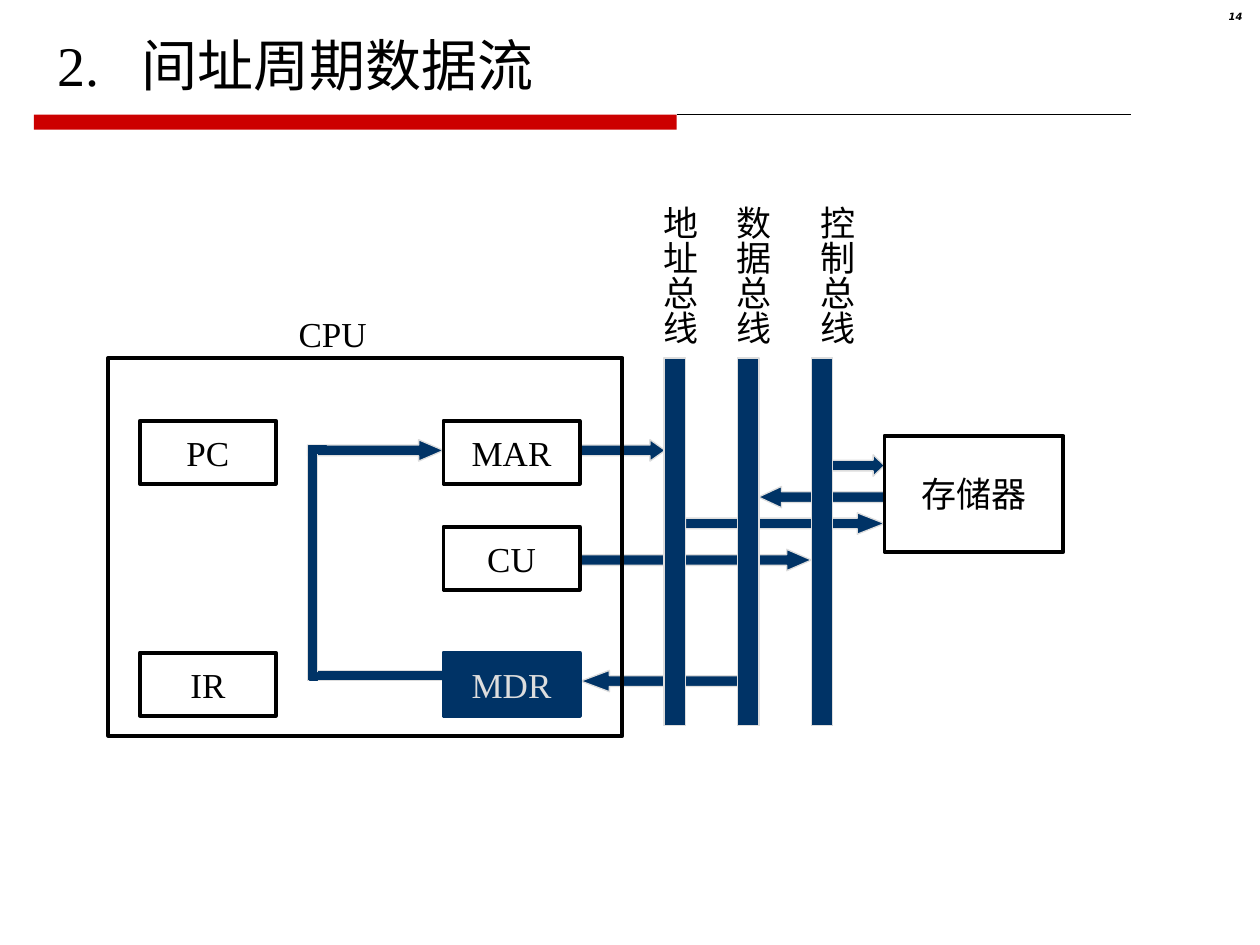
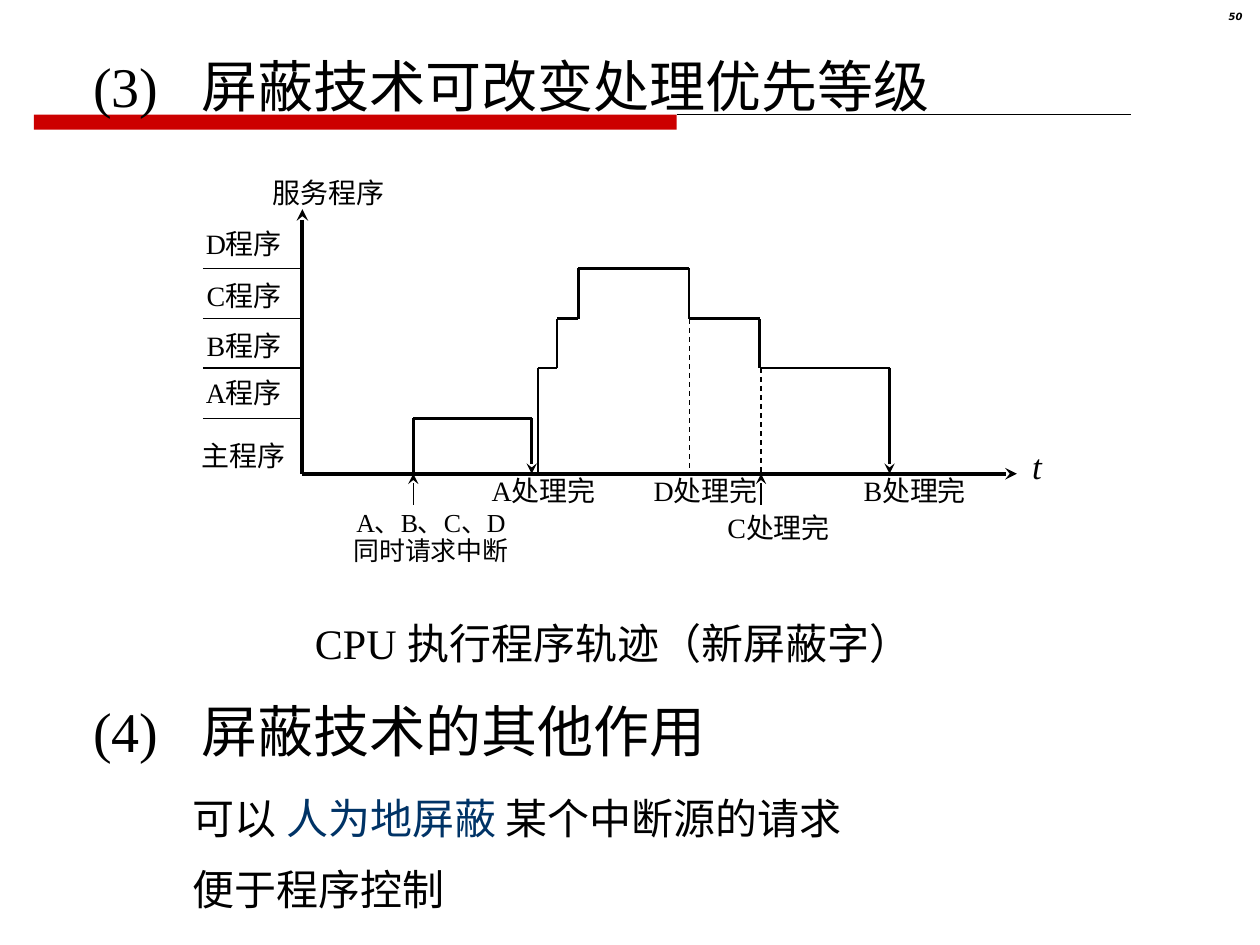
from itertools import pairwise

from lxml import etree
from pptx import Presentation
from pptx.dml.color import RGBColor
from pptx.enum.dml import MSO_LINE
from pptx.enum.shapes import MSO_CONNECTOR, MSO_SHAPE
from pptx.enum.text import MSO_ANCHOR, PP_ALIGN
from pptx.oxml.ns import qn
from pptx.util import Inches, Pt

LEFT, CENTER, RIGHT = PP_ALIGN.LEFT, PP_ALIGN.CENTER, PP_ALIGN.RIGHT
TOP, MIDDLE = MSO_ANCHOR.TOP, MSO_ANCHOR.MIDDLE
RECTANGLE, ARROW = MSO_SHAPE.RECTANGLE, MSO_SHAPE.RIGHT_ARROW
STRAIGHT, DASH = MSO_CONNECTOR.STRAIGHT, MSO_LINE.DASH

COLORS = {"ink": "000000", "band": "CC0000", "bus": "003366", "pale": "DDDDDD"}
BODY_FONT, NUMBER_FONT = "Times New Roman", "DejaVu Sans"
WIDTH, HEIGHT = 10, 7.5
BAND_LEFT, BAND_TOP, BAND_WIDTH, BAND_HEIGHT, RULE_END = 0.27, 0.91, 5.1, 0.12, 8.98

UNIT_WIDTH, UNIT_HEIGHT = 1.08, 0.5
UNIT_COLUMNS = (1.11, 3.52)
UNIT_ROWS = (3.34, 4.18, 5.18)
UNITS = [("PC", 0, 0), ("IR", 0, 2), ("MAR", 1, 0), ("CU", 1, 1)]
ACTIVE_UNIT = ("MDR", 1, 2)
CPU_BOX = (0.86, 2.84, 4.08, 3)
MEMORY_BOX = (7.02, 3.46, 1.42, 0.92)
BUS_LEFT, BUS_STEP, BUS_TOP, BUS_WIDTH, BUS_HEIGHT = 5.27, 0.585, 2.84, 0.17, 2.92
BUSES = [("地址总线", 5.08), ("数据总线", 5.66), ("控制总线", 6.33)]
ARROW_HEIGHT = 0.17
FLOWS = [
    (6.02, 3.86, 1, 180, 1.07),
    (4.61, 4.36, 1.83, 0, 1.15),
    (4.61, 3.49, 0.67, 0, 0.71),
    (5.44, 4.07, 1.58, 0, 1.27),
    (4.61, 5.32, 1.25, 180, 1.33),
    (2.44, 3.49, 1.08, 0, 1.16),
    (6.52, 3.61, 0.5, 0, 0.53),
]
LOOP_BARS = [(2.44, 5.32, 1.08, 0.08), (2.44, 3.57, 0.08, 1.83)]
LOOP_CORNERS = [(2.46, 5.34, 0.06, 0.06), (2.45, 3.54, 0.14, 0.06)]

AXIS_X, AXIS_Y, AXIS_TOP, AXIS_END = 2.4, 3.76, 1.66, 8.07
LEVELS = {"main": AXIS_Y, "A": 3.32, "B": 2.92, "C": 2.53, "D": 2.13}
TRACES = [
    [(3.28, "main"), (3.28, "A"), (4.22, "A"), (4.22, "main")],
    [(4.27, "main"), (4.27, "B"), (4.42, "B"), (4.42, "C"), (4.59, "C"), (4.59, "D"),
     (5.47, "D"), (5.47, "C"), (6.03, "C"), (6.03, "B"), (7.06, "B"), (7.06, "main")],
]
DROPS = [(5.47, "C"), (6.04, "B")]
POINTERS = (3.28, 6.04)
ROW_LABELS = [("主程序", 3.48), ("A程序", 2.98), ("B程序", 2.61), ("C程序", 2.21), ("D程序", 1.8)]
CHART_LABELS = [
    ("服务程序", (2.02, 1.39, 1.17, 0.39)),
    ("A处理完", (3.79, 3.76, 1.05, 0.38)),
    ("D处理完", (5.1, 3.76, 1, 0.38)),
    ("C处理完", (5.7, 4.05, 0.96, 0.33)),
    ("B处理完", (6.69, 3.76, 1.14, 0.38)),
]
REQUEST_LINES = ["A、B、C、D", "同时请求中断"]
REMARKS = [
    ([("可以 ", "ink"), ("人为地屏蔽 ", "bus"), ("某个中断源的请求", "ink")], 6.29),
    ([("便于程序控制", "ink")], 6.85),
]


def color(name):
    return RGBColor.from_string(COLORS[name])


def fill_text(shape, paragraphs, size, align=LEFT, anchor=TOP, wrap=True,
              font=BODY_FONT, bold=False, italic=False, spacing=None):
    frame = shape.text_frame
    frame.word_wrap = wrap
    frame.vertical_anchor = anchor
    frame.margin_left = frame.margin_right = frame.margin_top = frame.margin_bottom = 0
    for index, runs in enumerate(paragraphs):
        paragraph = frame.add_paragraph() if index else frame.paragraphs[0]
        paragraph.alignment = align
        if spacing:
            paragraph.line_spacing = spacing
        for text, ink in runs:
            run = paragraph.add_run()
            run.text = text
            run.font.name = font
            run.font.size = Pt(size)
            run.font.bold, run.font.italic = bold, italic
            run.font.color.rgb = color(ink)


def add_text(slide, box, text, size, **style):
    shape = slide.shapes.add_textbox(*map(Inches, box))
    fill_text(shape, [[(text, "ink")]], size, **style)
    return shape


def add_box(slide, kind, box, fill=None, line=None, weight=0.75):
    shape = slide.shapes.add_shape(kind, *map(Inches, box))
    shape.shadow.inherit = False
    if fill:
        shape.fill.solid()
        shape.fill.fore_color.rgb = color(fill)
    else:
        shape.fill.background()
    if line:
        shape.line.color.rgb = color(line)
        shape.line.width = Pt(weight)
    else:
        shape.line.fill.background()
    return shape


def add_line(slide, start, end, weight, head=False, tail=False, dash=None):
    connector = slide.shapes.add_connector(STRAIGHT, *map(Inches, (*start, *end)))
    connector.line.color.rgb = color("ink")
    connector.line.width = Pt(weight)
    if dash:
        connector.line.dash_style = dash
    properties = connector._element.spPr
    for tag, wanted in (("a:headEnd", head), ("a:tailEnd", tail)):
        if wanted:
            etree.SubElement(properties.find(qn("a:ln")), qn(tag), type="stealth")
    etree.SubElement(properties, qn("a:effectLst"))


def add_title(slide, box, number, title, gap):
    shape = add_text(slide, box, f"{number}\t{title}", 32, anchor=MIDDLE)
    properties = shape.text_frame.paragraphs[0]._p.get_or_add_pPr()
    stops = etree.SubElement(properties, qn("a:tabLst"))
    etree.SubElement(stops, qn("a:tab"), pos=str(Inches(gap)), algn="l")


def start_slide(presentation, number):
    slide = presentation.slides.add_slide(presentation.slide_layouts[6])
    add_box(slide, RECTANGLE, (BAND_LEFT, BAND_TOP, BAND_WIDTH, BAND_HEIGHT), "band")
    add_line(slide, (BAND_LEFT + BAND_WIDTH, BAND_TOP), (RULE_END, BAND_TOP), 0.75)
    add_text(slide, (9.47, 0.1, 0.39, 0.13), number, 5.7, align=RIGHT,
             font=NUMBER_FONT, bold=True, italic=True, spacing=0.8)
    return slide


def add_unit(slide, name, column, row, fill=None, line="ink", ink="ink"):
    box = (UNIT_COLUMNS[column], UNIT_ROWS[row], UNIT_WIDTH, UNIT_HEIGHT)
    unit = add_box(slide, RECTANGLE, box, fill, line, 2.25)
    fill_text(unit, [[(name, ink)]], 20, align=CENTER, anchor=MIDDLE, wrap=False)


def build_data_flow(presentation):
    slide = start_slide(presentation, "14")
    add_title(slide, (0.46, 0.24, 6.05, 0.54), "2.", "间址周期数据流", 0.66)
    for left, top, width, rotation, tip in FLOWS:
        arrow = add_box(slide, ARROW, (left, top, width, ARROW_HEIGHT), "bus", "pale")
        arrow.adjustments[0], arrow.adjustments[1] = 0.5, tip
        arrow.rotation = rotation
    for bar in LOOP_BARS:
        add_box(slide, RECTANGLE, bar, "bus", "pale")
    for corner in LOOP_CORNERS:
        add_box(slide, RECTANGLE, corner, "bus", "bus")
    for index, (name, label_left) in enumerate(BUSES):
        left = BUS_LEFT + index * BUS_STEP
        add_box(slide, RECTANGLE, (left, BUS_TOP, BUS_WIDTH, BUS_HEIGHT), "bus", "pale")
        label = add_text(slide, (label_left, 1.63, 0.48, 1.22), name, 20, wrap=False)
        label.text_frame._txBody.bodyPr.set("vert", "eaVert")
    add_box(slide, RECTANGLE, CPU_BOX, None, "ink", 2.25)
    add_text(slide, (2.27, 2.48, 0.74, 0.34), "CPU", 20, align=CENTER, wrap=False)
    for unit in UNITS:
        add_unit(slide, *unit)
    add_unit(slide, *ACTIVE_UNIT, fill="bus", line="bus", ink="pale")
    memory = add_box(slide, RECTANGLE, MEMORY_BOX, None, "ink", 2.25)
    fill_text(memory, [[("存储器", "ink")]], 20, align=CENTER, anchor=MIDDLE, wrap=False)


def build_priority_trace(presentation):
    slide = start_slide(presentation, "50")
    add_title(slide, (0.74, 0.44, 7.57, 0.47), "(3)", "屏蔽技术可改变处理优先等级", 0.86)
    add_title(slide, (0.74, 5.56, 5.9, 0.47), "(4)", "屏蔽技术的其他作用", 0.86)
    for runs, top in REMARKS:
        remark = slide.shapes.add_textbox(*map(Inches, (1.53, top, 6.8, 0.4)))
        fill_text(remark, [runs], 24)
    add_line(slide, (AXIS_X, AXIS_Y), (AXIS_END, AXIS_Y), 2.25, tail=True)
    add_line(slide, (AXIS_X, AXIS_TOP), (AXIS_X, AXIS_Y), 2.25, head=True)
    add_text(slide, (8, 3.53, 0.46, 0.36), "t", 20, align=CENTER, italic=True)
    for name, top in ROW_LABELS:
        add_text(slide, (1.53, top, 0.81, 0.36), name, 16, align=CENTER)
    for name, box in CHART_LABELS:
        add_text(slide, box, name, 16, align=CENTER)
    for level in "ABCD":
        add_line(slide, (1.61, LEVELS[level]), (AXIS_X, LEVELS[level]), 0.75)
    for trace in TRACES:
        points = [(time, LEVELS[level]) for time, level in trace]
        for start, end in pairwise(points):
            add_line(slide, start, end, 1.5, tail=end == points[-1])
    for time, level in DROPS:
        add_line(slide, (time, LEVELS[level]), (time, AXIS_Y), 0.75, dash=DASH)
    for time in POINTERS:
        add_line(slide, (time, AXIS_Y), (time, AXIS_Y + 0.25), 0.75, head=True)
    request = slide.shapes.add_textbox(*map(Inches, (2.63, 4.05, 1.58, 0.56)))
    fill_text(request, [[(line, "ink")] for line in REQUEST_LINES], 14.8,
              align=CENTER, spacing=0.9)
    add_text(slide, (2.5, 4.9, 5.47, 0.4), "CPU 执行程序轨迹（新屏蔽字）", 24)


def main():
    presentation = Presentation()
    presentation.slide_width, presentation.slide_height = Inches(WIDTH), Inches(HEIGHT)
    build_data_flow(presentation)
    build_priority_trace(presentation)
    presentation.save("out.pptx")


if __name__ == "__main__":
    main()
